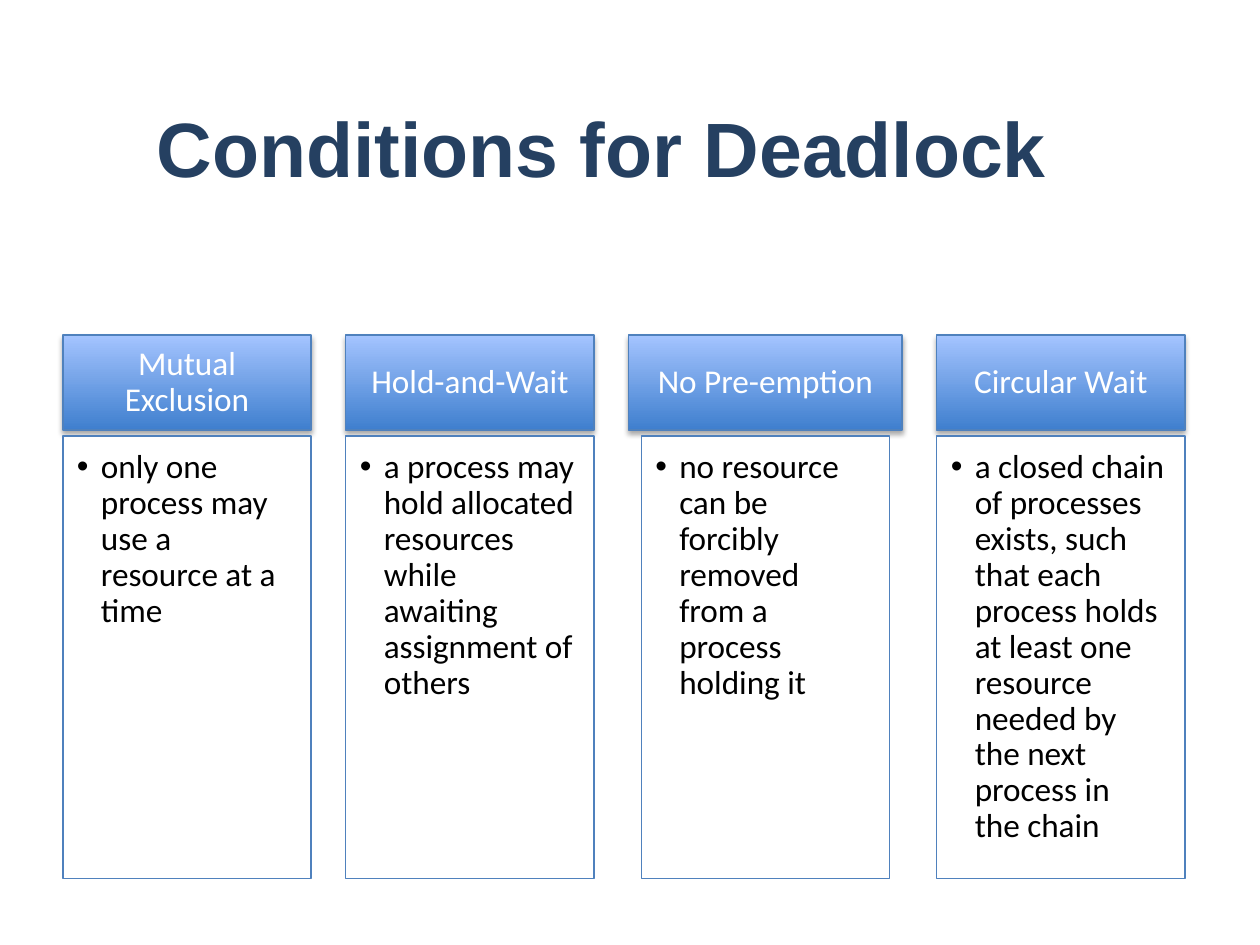
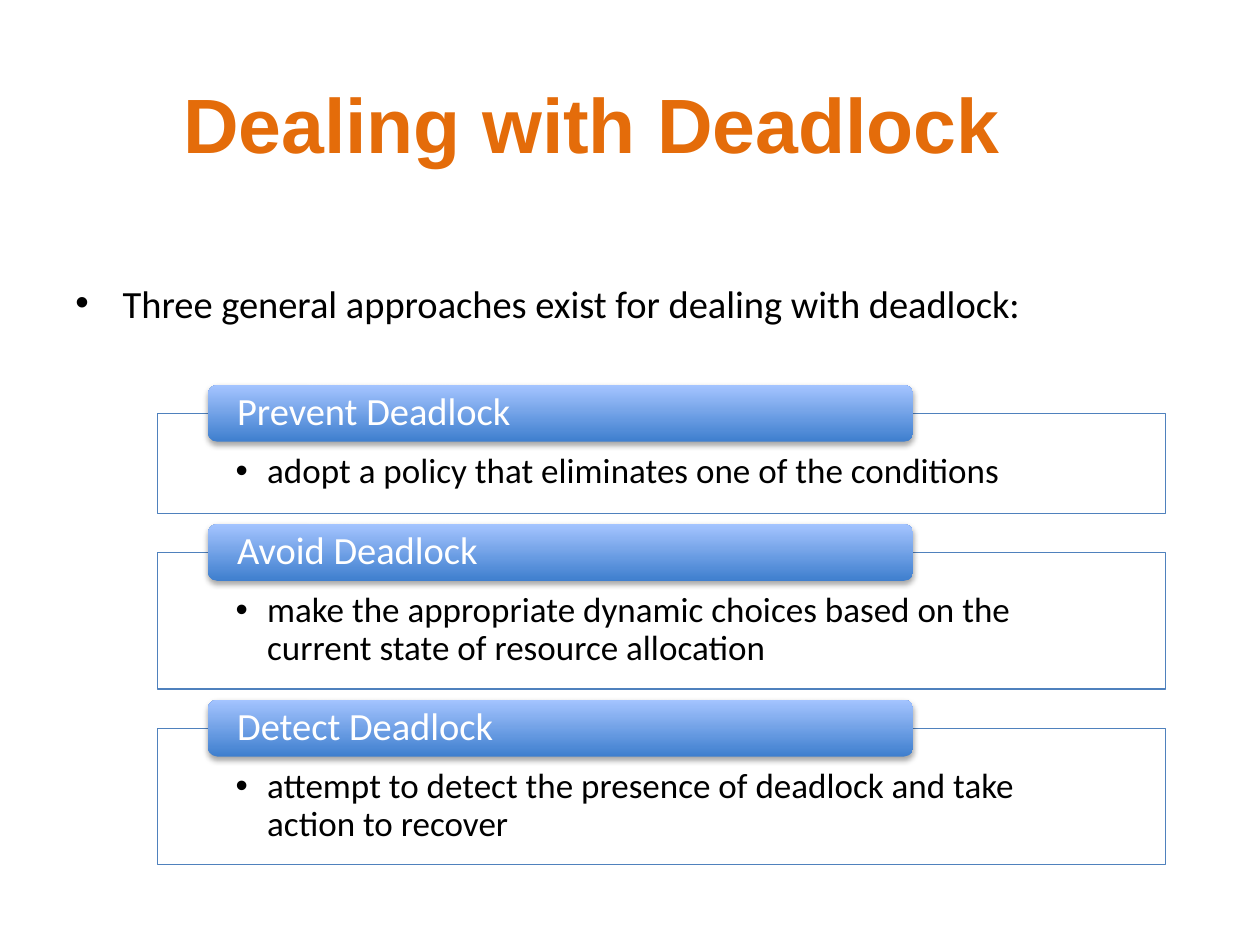
from dataclasses import dataclass
from lxml.etree import SubElement
from pptx import Presentation
from pptx.dml.color import RGBColor as RGB
from pptx.enum.shapes import MSO_SHAPE as Preset
from pptx.enum.text import MSO_ANCHOR as Anchor, PP_ALIGN as Align
from pptx.oxml.ns import qn
from pptx.util import Pt


@dataclass(frozen=True)
class Theme:
    navy: RGB = RGB.from_string("254061")
    orange: RGB = RGB.from_string("E46C0A")
    white: RGB = RGB.from_string("FFFFFF")
    black: RGB = RGB.from_string("000000")
    outline: RGB = RGB.from_string("4F81BD")
    band_dark: RGB = RGB.from_string("3F7FCE")
    band_light: RGB = RGB.from_string("A4C4FF")
    title_font: str = "Arial"
    body_font: str = "Calibri"
    title_size: int = 44
    lead_size: int = 22
    detail_size: int = 20
    column_size: int = 19


theme = Theme()


def write_text(shape, text, font, insets=(7.2, 3.6, 7.2, 3.6), anchor=Anchor.TOP,
               align=Align.LEFT, spacing=1.0, indent=0):
    frame = shape.text_frame
    paragraph = frame.paragraphs[0]
    paragraph.text = text
    left, top, right, bottom = map(Pt, insets)
    frame_format = {"word_wrap": True, "vertical_anchor": anchor,
                    "margin_left": left, "margin_top": top,
                    "margin_right": right, "margin_bottom": bottom}
    paragraph_format = {"alignment": align, "line_spacing": spacing}
    targets = [(frame, frame_format), (paragraph, paragraph_format)]
    targets += [(run.font, {"name": theme.body_font, **font}) for run in paragraph.runs]
    for target, values in targets:
        for name, value in values.items():
            if name == "rgb":
                target.color.rgb = value
            else:
                setattr(target, name, value)
    if indent:
        properties = paragraph._p.get_or_add_pPr()
        properties.set("marL", str(Pt(indent)))
        properties.set("indent", str(-Pt(indent)))
        SubElement(properties, qn("a:buFont"), typeface="Arial")
        SubElement(properties, qn("a:buChar"), char="•")


def add_box(slide, preset, bounds, banded, outlined=True):
    shape = slide.shapes.add_shape(preset, *map(Pt, bounds))
    shape.shadow.inherit = False
    if banded:
        shape.fill.gradient()
        shape.fill.gradient_angle = 90
        for stop, color in zip(shape.fill.gradient_stops, (theme.band_dark, theme.band_light)):
            stop.color.rgb = color
        effects = shape.element.spPr.find(qn("a:effectLst"))
        shadow = SubElement(effects, qn("a:outerShdw"), blurRad=str(Pt(3.1)),
                            dist=str(Pt(1.8)), dir="5400000", rotWithShape="0")
        shadow_color = SubElement(shadow, qn("a:srgbClr"), val=str(theme.black))
        SubElement(shadow_color, qn("a:alpha"), val="35000")
    else:
        shape.fill.solid()
        shape.fill.fore_color.rgb = theme.white
    if outlined:
        shape.line.color.rgb = theme.outline
        shape.line.width = Pt(0.75)
    else:
        shape.line.fill.background()
    return shape


presentation = Presentation()
presentation.slide_width, presentation.slide_height = Pt(720), Pt(540)

titles = [
    ("Conditions for Deadlock", theme.navy, (36, 36, 616.3, 95.8)),
    ("Dealing with Deadlock", theme.orange, (30.2, 18, 616.3, 104.4)),
]
slides = []
for title, color, bounds in titles:
    slide = presentation.slides.add_slide(presentation.slide_layouts[6])
    box = slide.shapes.add_textbox(*map(Pt, bounds))
    write_text(box, title, {"name": theme.title_font, "size": Pt(theme.title_size),
                            "bold": True, "rgb": color},
               anchor=Anchor.MIDDLE, align=Align.CENTER)
    slides.append(slide)
conditions_slide, approaches_slide = slides

conditions = [
    ("Mutual Exclusion", 141.8, "only one process may use a resource at a time"),
    ("Hold-and-Wait", 141.8,
     "a process may hold allocated resources while awaiting assignment of others"),
    ("No Pre-emption", 156.2, "no resource can be forcibly removed from a process holding it"),
    ("Circular Wait", 141.8,
     "a closed chain of processes exists, such that each process holds at least one "
     "resource needed by the next process in\vthe chain"),
]
column_width, column_gap = 141.8, 19.85
column_font = {"size": Pt(theme.column_size)}
left = 36
for name, header_width, description in conditions:
    header = add_box(conditions_slide, Preset.RECTANGLE, (left, 191.5, header_width, 54.3), True)
    write_text(header, name, {**column_font, "rgb": theme.white}, (10.8, 5.8, 10.8, 5.8),
               Anchor.MIDDLE, Align.CENTER, 0.9)
    body_left = left + (header_width - column_width) / 2
    body = add_box(conditions_slide, Preset.RECTANGLE,
                   (body_left, 249.1, column_width, 252.8), False)
    write_text(body, description, {**column_font, "rgb": theme.black}, (8, 8, 10.8, 12),
               spacing=0.9, indent=13.7)
    left += header_width + column_gap

lead = approaches_slide.shapes.add_textbox(Pt(36), Pt(156.2), Pt(653.8), Pt(162))
write_text(lead, "Three general approaches exist for dealing with deadlock:",
           {"size": Pt(theme.lead_size), "rgb": theme.black}, indent=27)

approaches = [
    ("Prevent Deadlock", 57.2, "adopt a policy that eliminates one of the conditions"),
    ("Avoid Deadlock", 78.1,
     "make the appropriate dynamic choices based on the current state of resource allocation"),
    ("Detect Deadlock", 78.1,
     "attempt to detect the presence of deadlock and take action to recover"),
]
panel_gap, tab_height = 22.3, 32.4
top = 236.2
for name, panel_height, description in approaches:
    panel = add_box(approaches_slide, Preset.RECTANGLE, (90, top, 576, panel_height), False)
    panel_color = panel.element.spPr.find(qn("a:solidFill")).find(qn("a:srgbClr"))
    SubElement(panel_color, qn("a:alpha"), val="90000")
    write_text(panel, description, {"size": Pt(theme.detail_size), "rgb": theme.black},
               (44.7, 22.9, 44.7, 11.4), spacing=0.9, indent=18)
    tab = add_box(approaches_slide, Preset.ROUNDED_RECTANGLE,
                  (118.8, top - tab_height / 2, 403.2, tab_height), True, outlined=False)
    write_text(tab, name, {"size": Pt(theme.lead_size), "rgb": theme.white},
               (15.2, 0, 15.2, 0), Anchor.MIDDLE, spacing=0.9)
    top += panel_height + panel_gap

presentation.save("out.pptx")
